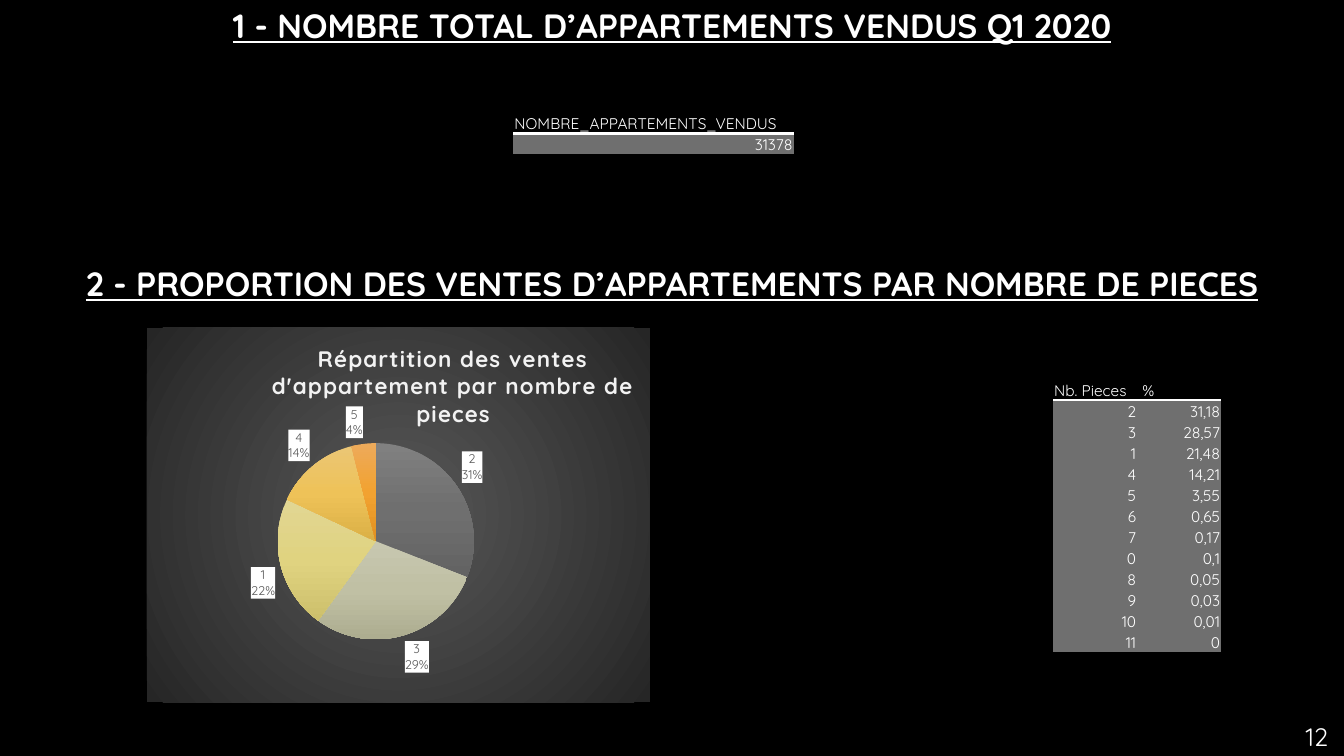
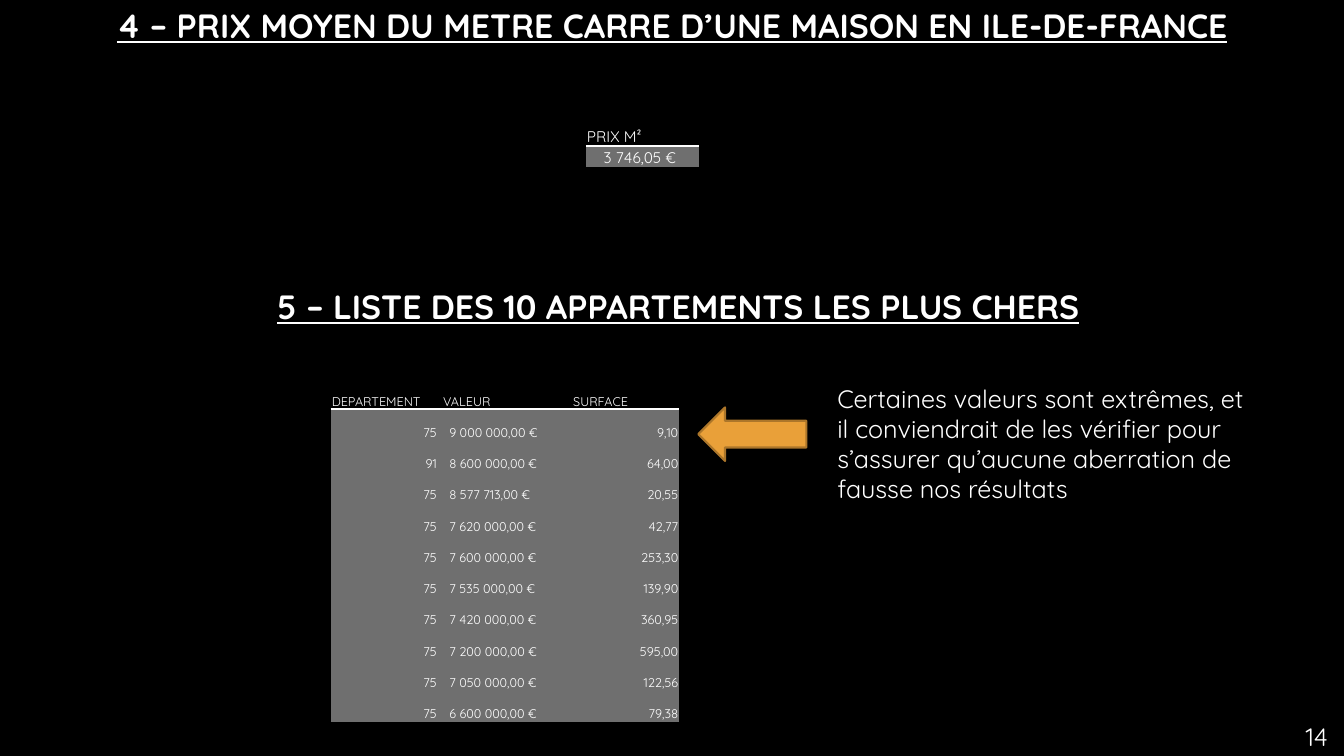
from pptx import Presentation
from pptx.chart.data import CategoryChartData
from pptx.dml.color import RGBColor
from pptx.enum.chart import XL_CHART_TYPE as Chart, XL_LABEL_POSITION as LabelPosition
from pptx.enum.shapes import MSO_SHAPE as Shape
from pptx.enum.text import MSO_ANCHOR as Anchor, MSO_AUTO_SIZE as AutoSize, PP_ALIGN as Align
from pptx.oxml import parse_xml
from pptx.oxml.ns import nsdecls, qn
from pptx.util import Emu, Pt

# Shared scale, colours and formats
PX = 9525
rgb = RGBColor.from_string
BLACK, WHITE, GREY = "000000", "FFFFFF", "6F6F6F"
FONT = "Quicksand"
HEADING = {"name": FONT, "size": Pt(24), "bold": True, "underline": True}
BODY = {"name": FONT, "size": Pt(18)}
NO_GRID_STYLE = "{2D5ABB26-0587-4C30-8999-92F81FD0307C}"


def emu(*lengths):
    return [Emu(round(length * PX)) for length in lengths]


def write(frame, text, formats, align=Align.LEFT, colour=WHITE):
    paragraph = frame.paragraphs[0]
    paragraph.alignment = align
    run = paragraph.add_run()
    run.text = text
    for key, value in formats.items():
        setattr(run.font, key, value)
    run.font.color.rgb = rgb(colour)


prs = Presentation()
prs.slide_width, prs.slide_height = emu(1280, 720)

# Black background and title band, set once for all slides
background = prs.slide_master.background.fill
background.solid()
background.fore_color.rgb = rgb(BLACK)
title_only = prs.slide_layouts[5]
band = title_only.placeholders[0]
band.left, band.top, band.width, band.height = emu(0, 0, 1280, 48)
band.text_frame.vertical_anchor = Anchor.TOP
band.text_frame.auto_size = AutoSize.NONE

# Titles, second headings with their place, and page numbers
pages = [
    ("1 - NOMBRE TOTAL D’APPARTEMENTS VENDUS Q1 2020",
     "2 - PROPORTION DES VENTES D’APPARTEMENTS PAR NOMBRE DE PIECES", (0, 246), "12"),
    ("4 – PRIX MOYEN DU METRE CARRE D’UNE MAISON EN ILE-DE-FRANCE",
     "5 – LISTE DES 10 APPARTEMENTS LES PLUS CHERS", (6, 268), "14"),
]
for title, heading, place, number in pages:
    slide = prs.slides.add_slide(title_only)
    write(slide.shapes.title.text_frame, title, HEADING, Align.CENTER)
    second = slide.shapes.add_textbox(*emu(*place, 1280, 48)).text_frame
    second.word_wrap = True
    write(second, heading, HEADING, Align.CENTER)
    page_number = slide.shapes.add_textbox(*emu(1234, 682, 46, 38)).text_frame
    page_number.word_wrap = False
    write(page_number, number, BODY)
sales, prices = prs.slides

# Tables: columns are (width, header indent, body indent, body alignment)
pieces = [
    ("Nb. Pieces", "%"), ("2", "31,18"), ("3", "28,57"), ("1", "21,48"), ("4", "14,21"),
    ("5", "3,55"), ("6", "0,65"), ("7", "0,17"), ("0", "0,1"), ("8", "0,05"),
    ("9", "0,03"), ("10", "0,01"), ("11", "0"),
]
dearest = [
    ("DEPARTEMENT", "VALEUR", "SURFACE"),
    ("75", "9 000 000,00 €", "9,10"),
    ("91", "8 600 000,00 €", "64,00"),
    ("75", "8 577 713,00 €", "20,55"),
    ("75", "7 620 000,00 €", "42,77"),
    ("75", "7 600 000,00 €", "253,30"),
    ("75", "7 535 000,00 €", "139,90"),
    ("75", "7 420 000,00 €", "360,95"),
    ("75", "7 200 000,00 €", "595,00"),
    ("75", "7 050 000,00 €", "122,56"),
    ("75", "6 600 000,00 €", "79,38"),
]
tables = [
    (sales, (489, 107), 11, [20, 20], [(267, 1, 1, Align.RIGHT)],
     [("NOMBRE_APPARTEMENTS_VENDUS",), ("31378",)]),
    (sales, (1003, 361), 11, [20] * 13,
     [(80, 1, 1, Align.RIGHT), (80, 5, 1, Align.RIGHT)], pieces),
    (prices, (558, 107), 11, [32, 20], [(108, 1, 17, Align.LEFT)],
     [("PRIX M²",), ("3 746,05 €",)]),
    (prices, (315, 360), 9, [328 / 11] * 11,
     [(102, 1, 1, Align.RIGHT), (128, 5, 11, Align.LEFT), (102, 1, 1, Align.RIGHT)], dearest),
]
for slide, place, size, heights, columns, rows in tables:
    total_width = sum(column[0] for column in columns)
    frame = slide.shapes.add_table(len(rows), len(columns),
                                   *emu(*place, total_width, sum(heights)))
    table = frame.table
    table.first_row = table.horz_banding = False
    table._tbl.tblPr.find(qn("a:tableStyleId")).text = NO_GRID_STYLE
    for c, column in enumerate(columns):
        table.columns[c].width = emu(column[0])[0]
    for r, values in enumerate(rows):
        table.rows[r].height = emu(heights[r])[0]
        for c, (width, header_indent, body_indent, body_align) in enumerate(columns):
            cell = table.cell(r, c)
            is_header = r == 0
            indent = header_indent if is_header else body_indent
            cell.margin_left, cell.margin_top, cell.margin_right, cell.margin_bottom = emu(
                indent, 1, 1, 0)
            cell.vertical_anchor = Anchor.BOTTOM
            cell.fill.solid()
            cell.fill.fore_color.rgb = rgb(BLACK if is_header else GREY)
            write(cell.text_frame, values[c], {"name": FONT, "size": Pt(size)},
                  Align.LEFT if is_header else body_align)
            if is_header:
                cell._tc.get_or_add_tcPr().insert(0, parse_xml(
                    f'<a:lnB {nsdecls("a")} w="25400"><a:solidFill>'
                    f'<a:srgbClr val="{WHITE}"/></a:solidFill></a:lnB>'))

# Pie chart of sales by number of rooms
shares = CategoryChartData()
shares.categories = ["2", "3", "1", "4", "5"]
shares.add_series("Series 1", (31, 29, 22, 14, 4))
chart = sales.shapes.add_chart(Chart.PIE, *emu(140, 312, 479, 357), shares).chart
chart.has_legend = False
chart.font.name, chart.font.size = FONT, Pt(10)
chart.font.color.rgb = rgb(WHITE)
chart.has_title = True
write(chart.chart_title.text_frame,
      "Répartition des ventes d'appartement par nombre de pieces",
      {"name": FONT, "size": Pt(16), "bold": True}, Align.CENTER, "F2F2F2")
pie = chart.plots[0]
pie.vary_by_categories = True

# Labels: category over percentage, on white
pie.has_data_labels = True
labels = pie.data_labels
label_formats = {"show_value": False, "show_category_name": True, "show_percentage": True,
                 "number_format": "0%", "number_format_is_linked": False,
                 "position": LabelPosition.OUTSIDE_END}
for key, value in label_formats.items():
    setattr(labels, key, value)
labels.font.name, labels.font.size = FONT, Pt(9)
labels.font.color.rgb = rgb("595959")
space = chart._chartSpace
label_node = next(space.iter(qn("c:dLbls")))
label_node.find(qn("c:txPr")).addprevious(parse_xml(
    f'<c:spPr {nsdecls("c", "a")}><a:solidFill><a:srgbClr val="{WHITE}"/></a:solidFill></c:spPr>'))
label_node.find(qn("c:showBubbleSize")).addnext(
    parse_xml(f'<c:separator {nsdecls("c")}>\n</c:separator>'))

# Gradients: round on the chart area, downward on each slice
slice_colours = [("808080", "6F6F6F", "636363"), ("C7C7B0", "C0C0A4", "ADAD90"),
                 ("E1D693", "E0D380", "CDC06C"), ("EBC675", "EEC258", "DBB046"),
                 ("EDAA5B", "F2A230", "E19121")]
for index in range(len(slice_colours)):
    pie.series[0].points[index].format.line.fill.background()
area = parse_xml(f'<c:spPr {nsdecls("c", "a")}><a:ln><a:noFill/></a:ln></c:spPr>')
space.find(qn("c:chart")).addnext(area)
ROUND = '<a:path path="circle"><a:fillToRect l="50000" t="50000" r="50000" b="50000"/></a:path>'
DOWN = '<a:lin ang="5400000" scaled="0"/>'
slices = [point.find(qn("c:spPr")) for point in space.iter(qn("c:dPt"))]
gradients = [(area, ("595959", "262626"), ROUND)]
gradients += [(part, colours, DOWN) for part, colours in zip(slices, slice_colours)]
for part, colours, direction in gradients:
    stops = "".join(f'<a:gs pos="{100000 * i // (len(colours) - 1)}"><a:srgbClr val="{colour}"/></a:gs>'
                    for i, colour in enumerate(colours))
    part.insert(0, parse_xml(
        f'<a:gradFill {nsdecls("a")} rotWithShape="1"><a:gsLst>{stops}</a:gsLst>{direction}</a:gradFill>'))

# Places of the pie and of its title within the chart, as fractions
plot_area = next(space.iter(qn("c:plotArea")))
chart_title = next(space.iter(qn("c:title")))
next(chart_title.iter(qn("a:rPr"))).set("spc", "100")
layouts = [
    (plot_area, 0, '<c:layoutTarget val="inner"/>', {"x": 0.26, "y": 0.24, "w": 0.39, "h": 0.66}),
    (chart_title, 1, "", {"x": 0.24, "y": 0.03}),
]
for parent, index, target, fractions in layouts:
    for old in parent.findall(qn("c:layout")):
        parent.remove(old)
    modes = "".join(f'<c:{key}Mode val="edge"/>' for key in "xy")
    values = "".join(f'<c:{key} val="{value}"/>' for key, value in fractions.items())
    parent.insert(index, parse_xml(
        f'<c:layout {nsdecls("c")}><c:manualLayout>{target}{modes}{values}</c:manualLayout></c:layout>'))

# Arrow and remark on the extreme values
arrow = prices.shapes.add_shape(Shape.LEFT_ARROW, *emu(665, 388, 103, 51))
arrow.shadow.inherit = False
arrow.fill.solid()
arrow.fill.fore_color.rgb = rgb("E9A039")
arrow.line.color.rgb = rgb("AC762A")
arrow.line.width = Pt(1.5)
remark = prices.shapes.add_textbox(*emu(788, 360, 411, 126)).text_frame
remark.word_wrap = True
write(remark, "Certaines valeurs sont extrêmes, et il conviendrait de les vérifier pour "
      "s’assurer qu’aucune aberration de fausse nos résultats", BODY)

prs.save("out.pptx")
